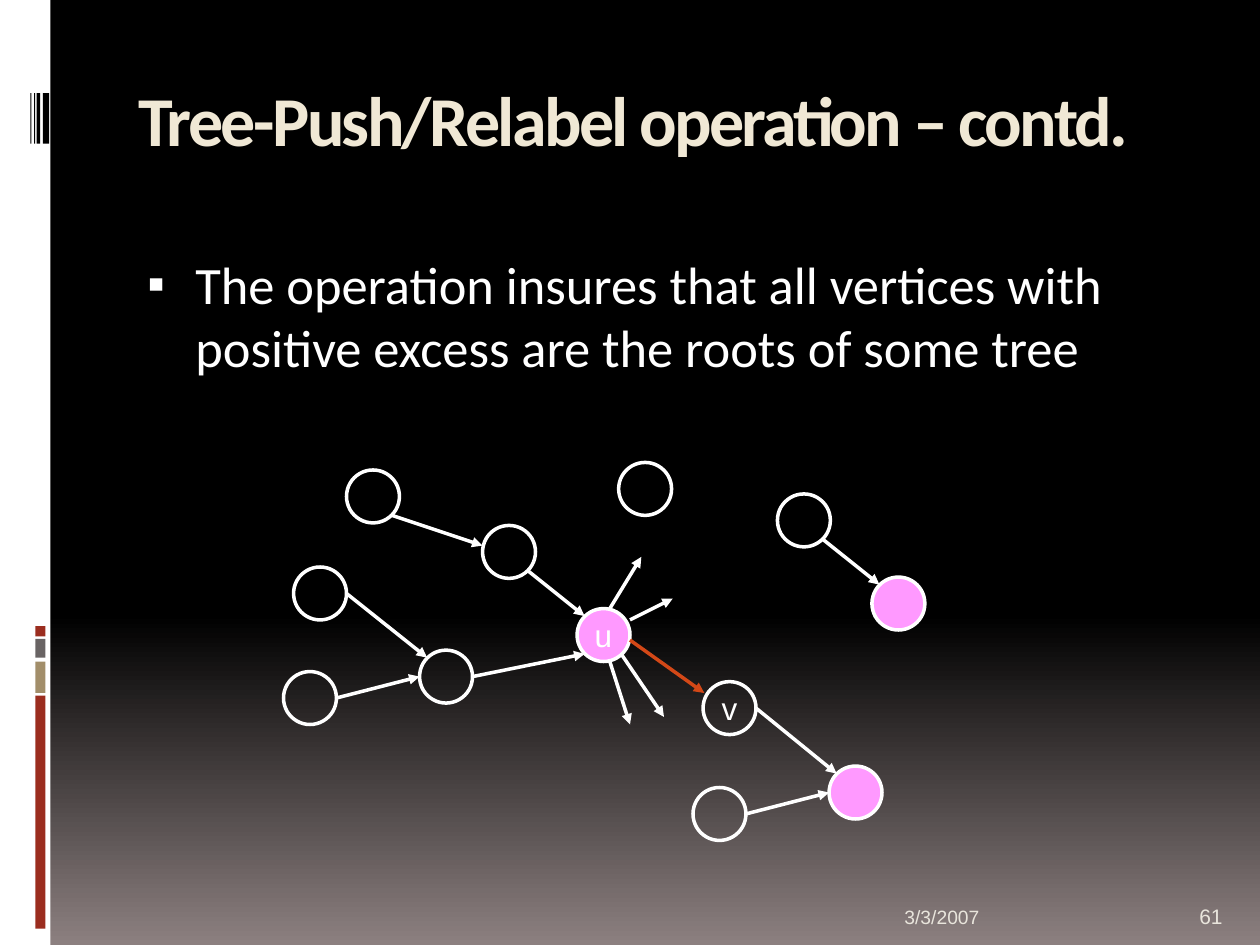
"""Build the Tree-Push/Relabel slide with its tree diagram."""
from lxml.etree import SubElement
from pptx import Presentation
from pptx.dml.color import RGBColor
from pptx.enum.shapes import MSO_CONNECTOR, MSO_SHAPE
from pptx.enum.text import MSO_ANCHOR, MSO_AUTO_SIZE, PP_ALIGN
from pptx.oxml.ns import qn
from pptx.util import Inches, Pt

COLORS = {
    "white": "FFFFFF", "black": "000000", "fade": "8C8080", "red": "9B2D1F",
    "tan": "A28E6A", "gray": "696464", "title": "F0E8D5", "footer": "E9E5DC",
    "root": "FF99FF", "push": "D34817",
}
NODE_SIZE = 0.42


def color(name):
    return RGBColor.from_string(COLORS[name])


def style_text(paragraph, font_name, size, color_name):
    paragraph.font.name = font_name
    paragraph.font.size = Pt(size)
    paragraph.font.color.rgb = color(color_name)


prs = Presentation()
prs.slide_width, prs.slide_height = Inches(10), Inches(7.5)
slide = prs.slides.add_slide(prs.slide_layouts[1])
shapes = slide.shapes

backdrop = slide.background.fill
backdrop.gradient()
backdrop.gradient_angle = 270
for stop, position, name in zip(backdrop.gradient_stops, (0.65, 1), ("black", "fade")):
    stop.position = position
    stop.color.rgb = color(name)

side_bars = [
    (0, 0, 0.4, 7.5, "white"),
    (0.28, 5.52, 0.08, 1.85, "red"),
    (0.28, 5.25, 0.08, 0.25, "tan"),
    (0.28, 5.07, 0.08, 0.15, "gray"),
    (0.28, 4.97, 0.08, 0.08, "red"),
    (0.34, 0.74, 0.05, 0.4, "black"),
    (0.29, 0.74, 0.03, 0.4, "black"),
    (0.27, 0.74, 0.01, 0.4, "black"),
    (0.24, 0.74, 0.01, 0.4, "black"),
]
for *box, name in side_bars:
    bar = shapes.add_shape(MSO_SHAPE.RECTANGLE, *map(Inches, box))
    bar.shadow.inherit = False
    bar.fill.solid()
    bar.fill.fore_color.rgb = color(name)
    bar.line.fill.background()

title, body = shapes.title, slide.placeholders[1]
for holder, top, height, text in [
    (title, 0.56, 1, "Tree-Push/Relabel operation – contd."),
    (body, 1.95, 1.3, "The operation insures that all vertices with "
                      "positive excess are the roots of some tree"),
]:
    holder.left, holder.top = Inches(1), Inches(top)
    holder.width, holder.height = Inches(8.5), Inches(height)
    holder.text_frame.text = text
    holder.text_frame.auto_size = MSO_AUTO_SIZE.NONE
    holder.text_frame.vertical_anchor = MSO_ANCHOR.TOP
    holder.text_frame.paragraphs[0].alignment = PP_ALIGN.LEFT

heading = title.text_frame.paragraphs[0]
style_text(heading, "Calibri", 40, "title")
heading.font.bold = True
heading.runs[0].font._element.set("spc", "-150")

statement = body.text_frame.paragraphs[0]
style_text(statement, "Calibri", 30, "white")
statement.space_before = Pt(7)
bullet_props = statement._p.get_or_add_pPr()
bullet_props.set("marL", str(Inches(0.45)))
bullet_props.set("indent", str(Inches(-0.38)))
bullet_marks = [("a:buSzPct", "val", "95000"), ("a:buFont", "typeface", "Arial"),
                ("a:buChar", "char", "▪")]
defaults = bullet_props.find(qn("a:defRPr"))
for tag, key, value in bullet_marks:
    mark = SubElement(bullet_props, qn(tag))
    mark.set(key, value)
    if defaults is not None:
        defaults.addprevious(mark)

for left, width, text, size in [(7.08, 2.33, "3/3/2007", 11), (9.42, 0.5, "61", 12)]:
    footer = shapes.add_textbox(Inches(left), Inches(7.02), Inches(width), Inches(0.4))
    footer.text_frame.word_wrap = True
    footer.text_frame.vertical_anchor = MSO_ANCHOR.BOTTOM
    footer.text_frame.text = text
    style_text(footer.text_frame.paragraphs[0], "Arial", size, "footer")

nodes = [
    (3.83, 4.17, False, ""), (2.75, 3.73, False, ""), (3.33, 5.16, False, ""),
    (2.25, 5.33, False, ""), (2.33, 4.5, False, ""), (4.58, 4.83, True, "u"),
    (6.17, 3.92, False, ""), (6.92, 4.58, True, ""), (4.91, 3.67, False, ""),
    (6.58, 6.08, True, ""), (5.5, 6.25, False, ""), (5.58, 5.41, False, "v"),
]
for left, top, is_root, label in nodes:
    node = shapes.add_shape(MSO_SHAPE.OVAL, Inches(left), Inches(top),
                            Inches(NODE_SIZE), Inches(NODE_SIZE))
    node.shadow.inherit = False
    if is_root:
        node.fill.solid()
        node.fill.fore_color.rgb = color("root")
    else:
        node.fill.background()
    node.line.color.rgb = color("white")
    node.line.width = Pt(2)
    if label:
        node.text_frame.text = label
        node.text_frame.word_wrap = False
        node.text_frame.vertical_anchor = MSO_ANCHOR.MIDDLE
        node.text_frame.paragraphs[0].alignment = PP_ALIGN.CENTER
        style_text(node.text_frame.paragraphs[0], "Arial", 18, "white")

edges = [
    (3.11, 4.09, 3.83, 4.33, "white"), (2.67, 5.54, 3.33, 5.37, "white"),
    (2.75, 4.71, 3.39, 5.22, "white"), (4.19, 4.53, 4.64, 4.89, "white"),
    (3.75, 5.37, 4.64, 5.19, "white"), (6.53, 4.28, 6.98, 4.64, "white"),
    (5.92, 6.46, 6.58, 6.29, "white"), (6, 5.62, 6.64, 6.14, "white"),
    (5, 5.08, 5.59, 5.5, "push"), (4.84, 5.25, 5, 5.75, "white"),
    (4.93, 5.19, 5.27, 5.69, "white"), (5, 4.92, 5.34, 4.75, "white"),
    (4.84, 4.83, 5.09, 4.42, "white"),
]
for *ends, name in edges:
    edge = shapes.add_connector(MSO_CONNECTOR.STRAIGHT, *map(Inches, ends))
    edge.line.color.rgb = color(name)
    edge.line.width = Pt(2)
    SubElement(edge.line._get_or_add_ln(), qn("a:tailEnd")).set("type", "triangle")
    SubElement(edge._element.spPr, qn("a:effectLst"))

prs.save("out.pptx")
